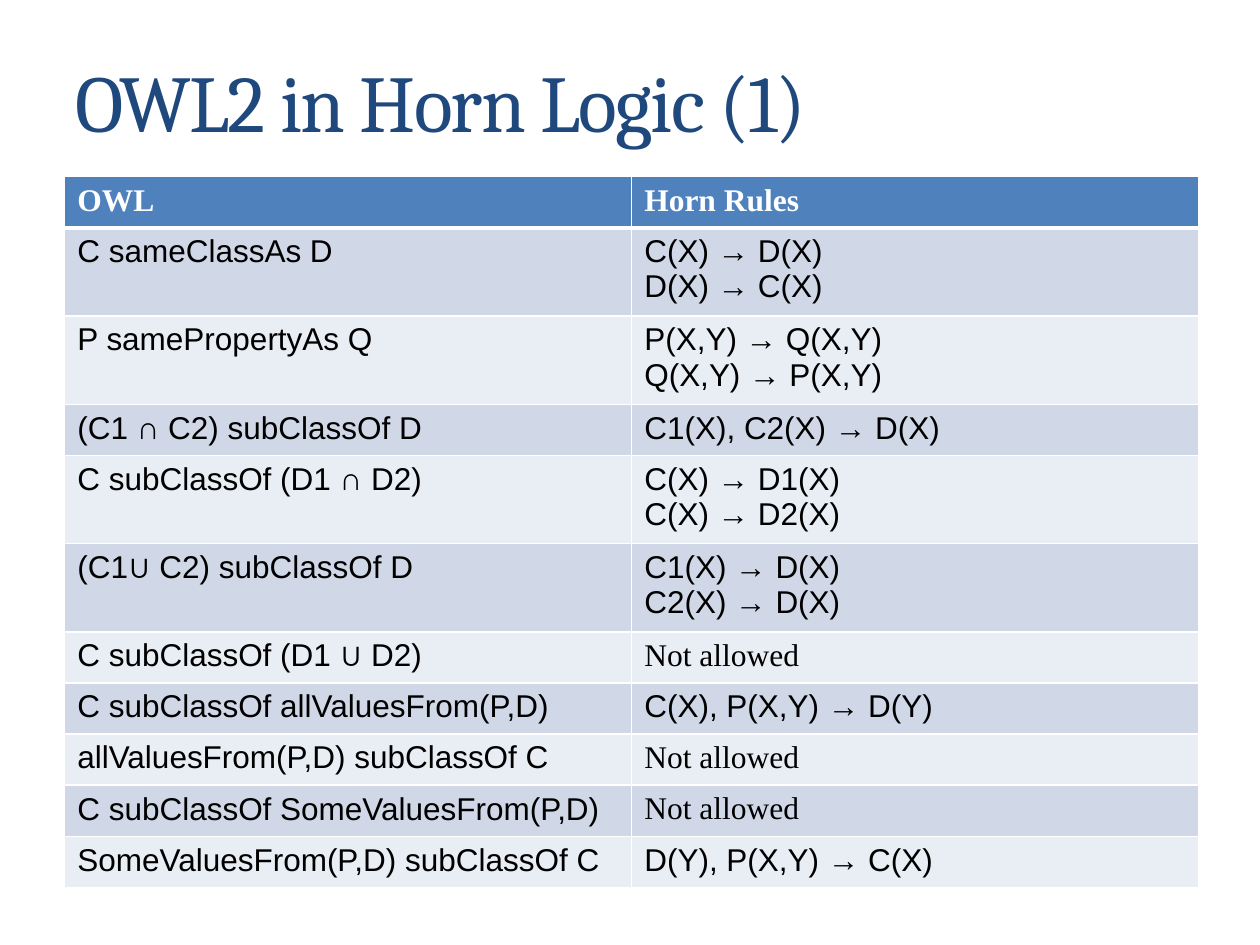
"""Build a slide that maps OWL2 constructs to Horn rules in a table."""
from lxml import etree
from pptx import Presentation
from pptx.dml.color import RGBColor
from pptx.enum.text import MSO_ANCHOR
from pptx.oxml import parse_xml
from pptx.oxml.ns import nsdecls, qn
from pptx.util import Pt

MIDDLE = MSO_ANCHOR.MIDDLE
NAVY = RGBColor(0x1F, 0x49, 0x7D)
BLUE = RGBColor(0x4F, 0x81, 0xBD)
BAND_DARK = RGBColor(0xD0, 0xD8, 0xE8)
BAND_LIGHT = RGBColor(0xE9, 0xED, 0xF4)
WHITE = RGBColor(0xFF, 0xFF, 0xFF)
BLACK = RGBColor(0x00, 0x00, 0x00)
SERIF = "Times New Roman"
SANS = "Arial"
NOT_ALLOWED = "Not allowed"

ROWS = [
    ("OWL", ["Horn Rules"]),
    ("C sameClassAs D", ["C(X) → D(X)", "D(X) → C(X)"]),
    ("P samePropertyAs Q", ["P(X,Y) → Q(X,Y)", "Q(X,Y) → P(X,Y)"]),
    ("(C1 ∩ C2) subClassOf D", ["C1(X), C2(X) → D(X)"]),
    ("C subClassOf (D1 ∩ D2)", ["C(X) → D1(X)", "C(X) → D2(X)"]),
    ("(C1∪ C2) subClassOf D", ["C1(X) → D(X)", "C2(X) → D(X)"]),
    ("C subClassOf (D1 ∪ D2)", [NOT_ALLOWED]),
    ("C subClassOf allValuesFrom(P,D)", ["C(X), P(X,Y) → D(Y)"]),
    ("allValuesFrom(P,D) subClassOf C", [NOT_ALLOWED]),
    ("C subClassOf SomeValuesFrom(P,D)", [NOT_ALLOWED]),
    ("SomeValuesFrom(P,D) subClassOf C", ["D(Y), P(X,Y) → C(X)"]),
]


def add_run(paragraph, text, font_name, size, color, bold=False):
    run = paragraph.add_run()
    run.text = text
    run.font.name = font_name
    run.font.size = Pt(size)
    run.font.bold = bold
    run.font.color.rgb = color
    return run


def add_border(cell, side, width):
    properties = cell._tc.get_or_add_tcPr()
    line = etree.SubElement(properties, qn(f"a:ln{side}"), w=str(Pt(width)))
    fill = etree.SubElement(line, qn("a:solidFill"))
    etree.SubElement(fill, qn("a:srgbClr"), val=str(WHITE))


presentation = Presentation()
presentation.slide_width = Pt(720)
presentation.slide_height = Pt(540)
slide = presentation.slides.add_slide(presentation.slide_layouts[6])

title = slide.shapes.add_textbox(Pt(36), Pt(21.6), Pt(648.7), Pt(71.3))
title.text_frame.word_wrap = True
title.text_frame.vertical_anchor = MIDDLE
title_run = add_run(title.text_frame.paragraphs[0], "OWL2 in Horn Logic (1)", "Cambria", 46, NAVY)
run_properties = title_run.font._element
run_properties.set("spc", "-100")
run_properties.find(qn("a:solidFill")).addnext(parse_xml(
    f'<a:effectLst {nsdecls("a")}>'
    '<a:outerShdw blurRad="50800" dist="38100" dir="2700000" algn="tl">'
    '<a:srgbClr val="000000"><a:alpha val="40000"/></a:srgbClr>'
    '</a:outerShdw></a:effectLst>'))

table_frame = slide.shapes.add_table(len(ROWS), 2, Pt(37), Pt(101), Pt(648), Pt(394))
table = table_frame.table
for column in table.columns:
    column.width = Pt(324)

for row_index, (construct, rules) in enumerate(ROWS):
    is_header = row_index == 0
    table.rows[row_index].height = Pt(29.2 if len(rules) == 1 else 47.4)
    band = BAND_DARK if row_index % 2 else BAND_LIGHT
    for column_index, lines in enumerate(([construct], rules)):
        cell = table.cell(row_index, column_index)
        for side in "LRTB":
            thick = (is_header and side == "B") or (row_index == 1 and side == "T")
            add_border(cell, side, 3 if thick else 1)
        cell.fill.solid()
        cell.fill.fore_color.rgb = BLUE if is_header else band
        for line_index, text in enumerate(lines):
            frame = cell.text_frame
            paragraph = frame.add_paragraph() if line_index else frame.paragraphs[0]
            font_name = SERIF if is_header or text == NOT_ALLOWED else SANS
            add_run(paragraph, text, font_name, 18, WHITE if is_header else BLACK, is_header)

presentation.save("out.pptx")
